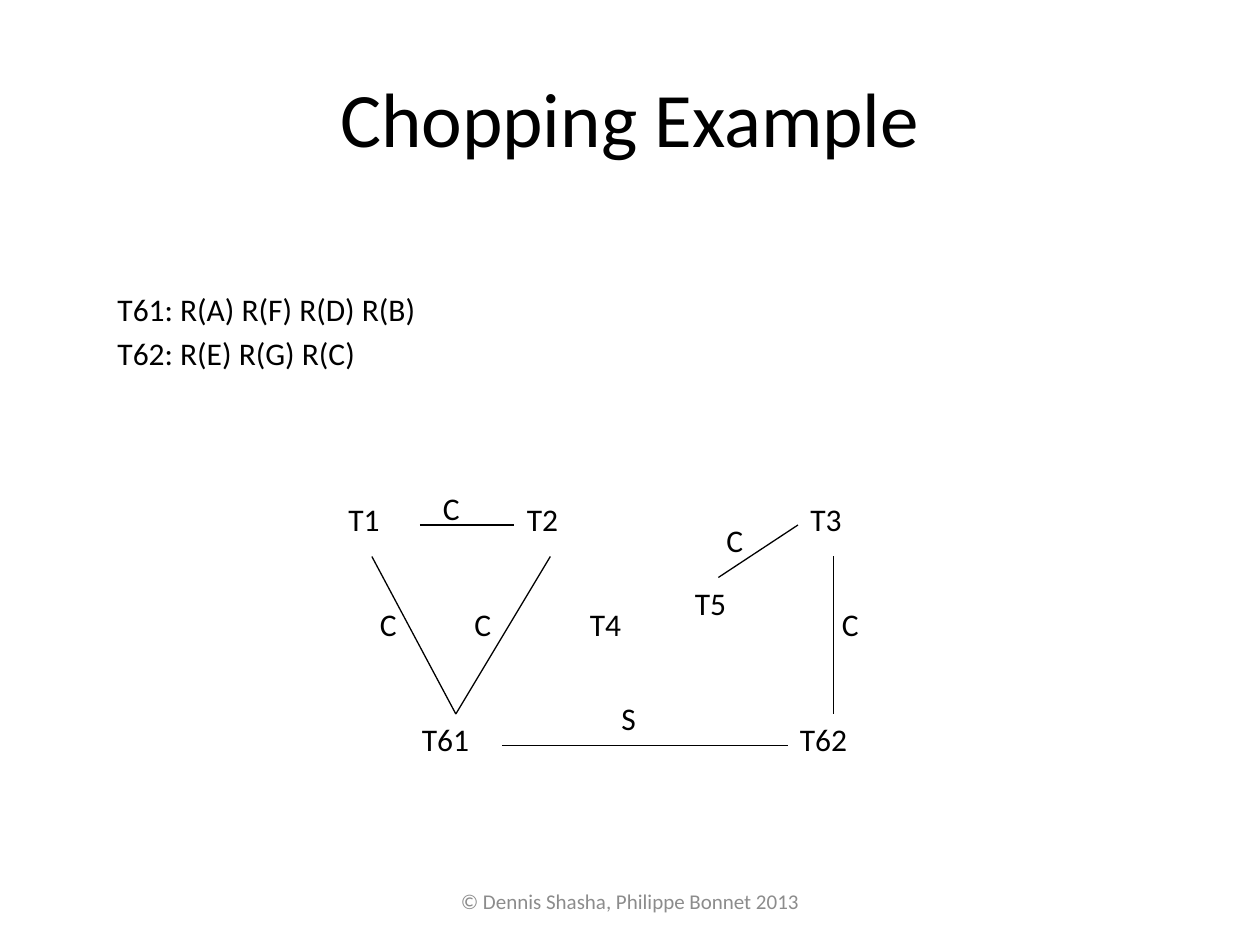
from dataclasses import dataclass

from lxml.etree import SubElement
from pptx import Presentation
from pptx.dml.color import RGBColor
from pptx.enum.shapes import MSO_CONNECTOR
from pptx.enum.text import MSO_ANCHOR, PP_ALIGN
from pptx.oxml.ns import qn
from pptx.util import Pt


@dataclass(frozen=True)
class Theme:
    font: str = "Calibri"
    ink: RGBColor = RGBColor(0, 0, 0)
    gray: RGBColor = RGBColor(0x8C, 0x8C, 0x8C)
    title: int = 44
    body: int = 18
    foot: int = 12
    line: float = 0.75


THEME = Theme()
NODE_HIGH = 36

# Name: left, top, width, within the graph box
NODES = {
    "T1": (0, 6, 41),
    "T2": (102, 6, 41),
    "T4": (138, 66, 41),
    "T5": (198, 54, 41),
    "T3": (264, 6, 41),
    "T62": (258, 132, 53),
    "T61": (42, 132, 53),
}

# From node, side, to node, side, gap at start, label, label left, label top
EDGES = [
    ("T1", "right", "T2", "left", 7, "C", 54, 0),
    ("T1", "bottom", "T61", "top", 0, "C", 18, 66),
    ("T2", "bottom", "T61", "top", 0, "C", 72, 66),
    ("T61", "right", "T62", "left", 0, "S", 156, 120),
    ("T62", "top", "T3", "bottom", 0, "C", 282, 66),
    ("T3", "left", "T5", "top", 0, "C", 216, 18),
]


def add_text(slide, box, text, size=THEME.body, color=THEME.ink,
             align=PP_ALIGN.LEFT, anchor=MSO_ANCHOR.TOP, before=0):
    frame = slide.shapes.add_textbox(*map(Pt, box)).text_frame
    frame.word_wrap = True
    frame.vertical_anchor = anchor
    frame.text = text
    for para in frame.paragraphs:
        para.alignment = align
        para.space_before = Pt(before)
        for run in para.runs:
            run.font.name = THEME.font
            run.font.size = Pt(size)
            run.font.color.rgb = color


def add_line(slide, start, end):
    line = slide.shapes.add_connector(
        MSO_CONNECTOR.STRAIGHT, *map(Pt, start + end))
    line.line.color.rgb = THEME.ink
    line.line.width = Pt(THEME.line)
    SubElement(line._element.spPr, qn("a:effectLst"))


def add_title(slide, box):
    add_text(slide, box, "Chopping Example", THEME.title,
             align=PP_ALIGN.CENTER, anchor=MSO_ANCHOR.MIDDLE)


def add_steps(slide, box):
    add_text(slide, box, "T61: R(A) R(F) R(D) R(B)\nT62: R(E) R(G) R(C)",
             before=THEME.body * 0.2)


def add_foot(slide, box):
    add_text(slide, box, "© Dennis Shasha, Philippe Bonnet 2013", THEME.foot,
             THEME.gray, PP_ALIGN.CENTER, MSO_ANCHOR.MIDDLE)


def add_graph(slide, box):
    """Place the nodes, then join their sides with labelled edges."""
    left, top = box[:2]

    def side(name, where, gap=0):
        x, y, wide = NODES[name]
        dx, dy = {
            "left": (0, NODE_HIGH / 2),
            "right": (wide + gap, NODE_HIGH / 2),
            "top": (wide / 2, 0),
            "bottom": (wide / 2, NODE_HIGH),
        }[where]
        return left + x + dx, top + y + dy

    for name, (x, y, wide) in NODES.items():
        add_text(slide, (left + x, top + y, wide, NODE_HIGH), name)
    for first, out, last, into, gap, label, x, y in EDGES:
        add_line(slide, side(first, out, gap), side(last, into))
        add_text(slide, (left + x, top + y, 27, 29), label)


def main():
    deck = Presentation()
    deck.slide_width, deck.slide_height = Pt(720), Pt(540)
    slide = deck.slides.add_slide(deck.slide_layouts[6])
    add_foot(slide, (246, 500.4, 228, 28.8))
    add_title(slide, (36, 21.6, 648, 90))
    add_steps(slide, (60, 162, 281.5, 70.5))
    add_graph(slide, (192, 276, 311, 168))
    deck.save("out.pptx")


if __name__ == "__main__":
    main()
